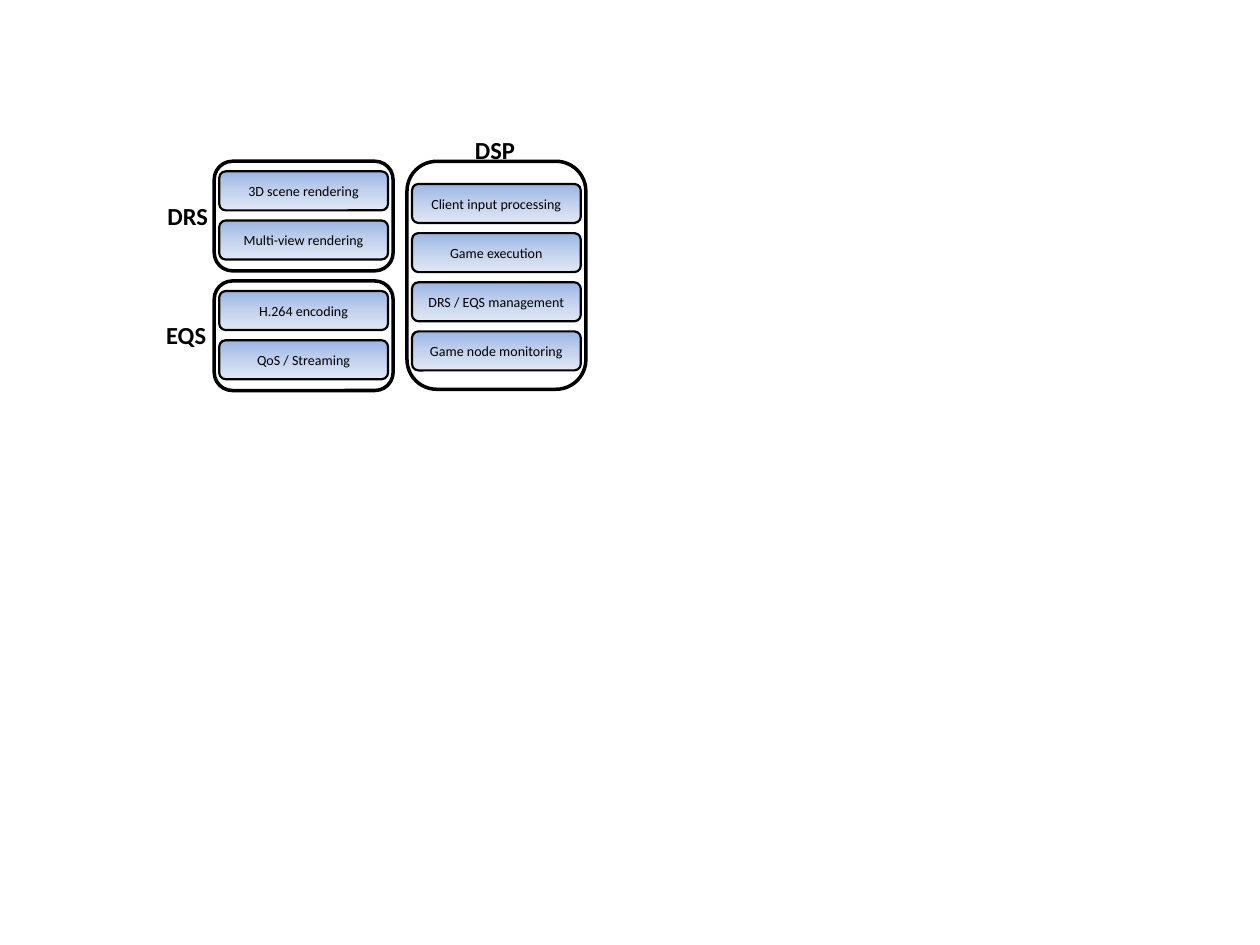
import copy
from dataclasses import dataclass

import pptx
import pptx.dml.color
import pptx.enum.shapes
import pptx.enum.text
import pptx.oxml.ns
import pptx.util
from pptx.util import Inches


@dataclass(frozen=True)
class Theme:
    font: str = "Calibri"
    ink: str = "000000"
    gradient: tuple = ((0, "9AB5E4"), (0.5, "C2D1ED"), (1, "E1E8F5"))
    task_size: int = 8
    title_size: int = 14
    frame_line: float = 2
    task_line: float = 1.25


theme = Theme()
color = pptx.dml.color.RGBColor.from_string


def add_rounded_box(shapes, left, top, width, height, line_width):
    box = shapes.add_shape(
        pptx.enum.shapes.MSO_SHAPE.ROUNDED_RECTANGLE,
        Inches(left), Inches(top), Inches(width), Inches(height))
    box.shadow.inherit = False
    box.fill.background()
    box.line.color.rgb = color(theme.ink)
    box.line.width = pptx.util.Pt(line_width)
    return box


def write_text(shape, text, size, bold=False):
    run = shape.text_frame.paragraphs[0].add_run()
    run.text = text
    run.font.name = theme.font
    run.font.size = pptx.util.Pt(size)
    run.font.bold = bold
    run.font.color.rgb = color(theme.ink)


presentation = pptx.Presentation()
presentation.slide_width = Inches(10)
presentation.slide_height = Inches(7.5)
slide = presentation.slides.add_slide(presentation.slide_layouts[6])

frame_width = 1.42
task_width, task_height, task_step = 1.34, 0.31, 0.39
title_height = 0.34

# title, title left/top/width, frame left/top/height, first task top, tasks
components = [
    ("DSP", (3.67, 1.02, 0.52), (3.23, 1.28, 1.81), 1.46,
     ["Client input processing", "Game execution",
      "DRS / EQS management", "Game node monitoring"]),
    ("DRS", (1.23, 1.55, 0.53), (1.7, 1.28, 0.87), 1.36,
     ["3D scene rendering", "Multi-view rendering"]),
    ("EQS", (1.22, 2.49, 0.52), (1.7, 2.23, 0.87), 2.31,
     ["H.264 encoding", "QoS / Streaming"]),
]

diagram = slide.shapes.add_group_shape()
for title, title_place, frame_place, first_top, tasks in components:
    left, top, height = frame_place
    add_rounded_box(diagram.shapes, left, top, frame_width, height,
                    theme.frame_line)

    for row, task in enumerate(tasks):
        box = add_rounded_box(
            diagram.shapes, left + (frame_width - task_width) / 2,
            first_top + row * task_step, task_width, task_height,
            theme.task_line)
        box.fill.gradient()
        box.fill.gradient_angle = 270
        stop_list = box._element.spPr.find(
            ".//" + pptx.oxml.ns.qn("a:gsLst"))
        stop_list.insert(1, copy.deepcopy(stop_list[0]))
        for stop, (position, shade) in zip(box.fill.gradient_stops,
                                           theme.gradient):
            stop.position = position
            stop.color.rgb = color(shade)
        box.text_frame.vertical_anchor = pptx.enum.text.MSO_ANCHOR.MIDDLE
        box.text_frame.paragraphs[0].alignment = pptx.enum.text.PP_ALIGN.CENTER
        write_text(box, task, theme.task_size)

    left, top, width = title_place
    label = diagram.shapes.add_textbox(
        Inches(left), Inches(top), Inches(width), Inches(title_height))
    label.text_frame.word_wrap = False
    label.text_frame.auto_size = pptx.enum.text.MSO_AUTO_SIZE.SHAPE_TO_FIT_TEXT
    write_text(label, title, theme.title_size, bold=True)

presentation.save("out.pptx")
